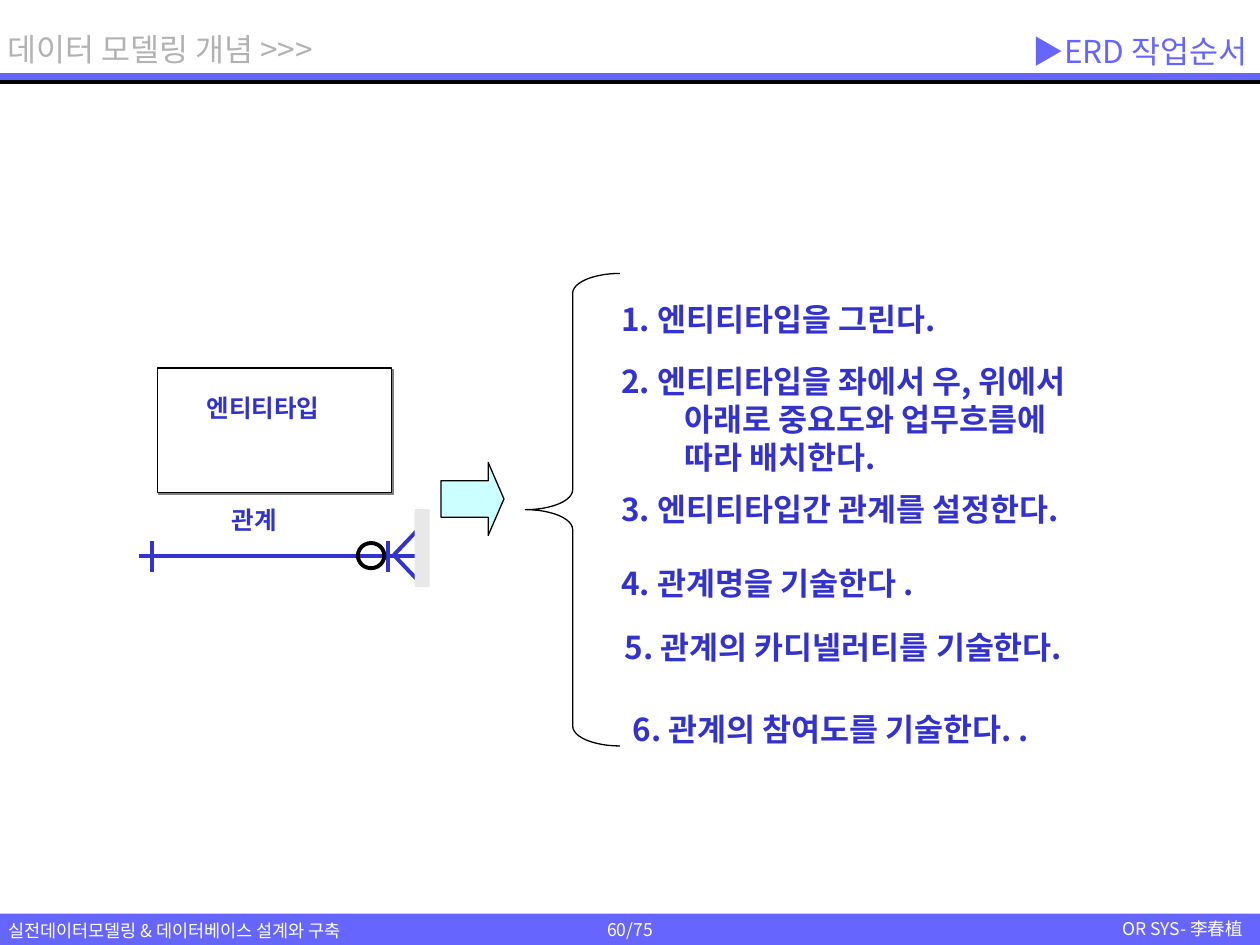
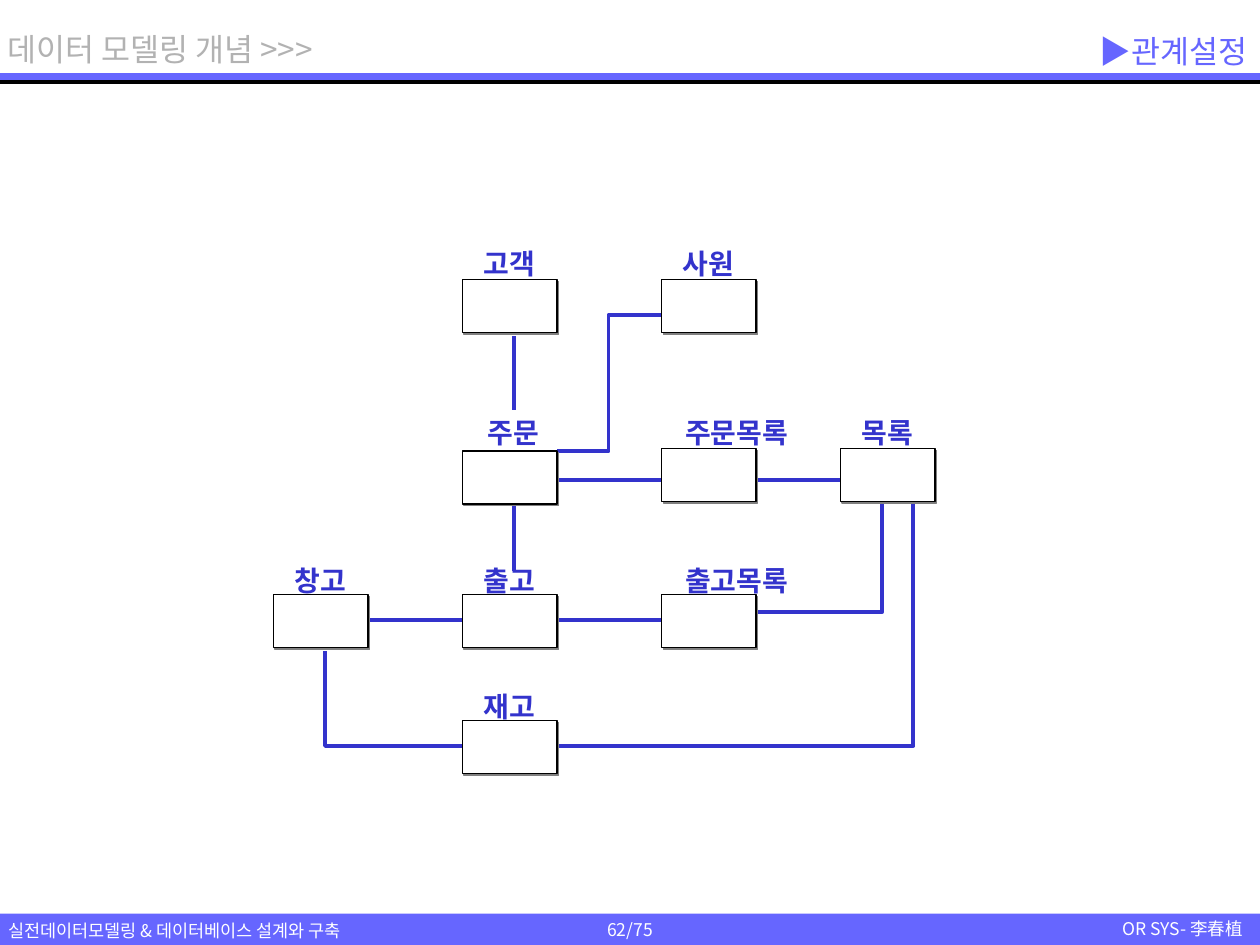
from collections import namedtuple
from dataclasses import dataclass

from lxml import etree
from pptx import Presentation
from pptx import util as u
from pptx.dml.color import RGBColor
from pptx.enum import shapes, text
from pptx.oxml import ns

PX = 9144
FORM = shapes.MSO_SHAPE
ALIGN = text.PP_ALIGN
ANCHOR = text.MSO_ANCHOR


@dataclass(frozen=True)
class Theme:
    font: str = "Noto Sans CJK KR"
    band: str = "6666FF"
    ink: str = "3333CC"
    muted: str = "B2B2B2"
    black: str = "000000"
    white: str = "FFFFFF"
    arrow: str = "CCFFFF"
    grey: str = "E8E8E8"
    shadow: str = "808080"
    title_size: int = 18
    name_size: int = 16
    label_size: int = 14
    footer_size: int = 10
    thin: float = 0.75
    thick: float = 2.25


THEME = Theme()


class Box(namedtuple("Box", "left top width height")):
    def inner(self, left, top, width, height):
        return Box(self.left + left, self.top + top, width, height)

    def point(self, left, top):
        return emu(self.left + left), emu(self.top + top)

    def emus(self):
        return [emu(length) for length in self]


def emu(px):
    return u.Emu(px * PX)


def add_element(parent, tag, **attributes):
    return etree.SubElement(parent, ns.qn(tag), **attributes)


def move(shape, box):
    shape.left, shape.top, shape.width, shape.height = box.emus()


def format_span(para, words, size, color, bold=False):
    span = para.add_run()
    span.text = words
    font = span.font
    font.size, font.bold = u.Pt(size), bold
    font.color.rgb = RGBColor.from_string(color)
    font.name = THEME.font
    add_element(font._element, "a:ea", typeface=THEME.font)


def write(shape, words, size, color, bold=False, align=ALIGN.LEFT, anchor=ANCHOR.TOP):
    frame = shape.text_frame
    frame.auto_size = text.MSO_AUTO_SIZE.NONE
    frame.word_wrap = False
    frame.vertical_anchor = anchor
    para = frame.paragraphs[0]
    para.alignment = align
    format_span(para, words, size, color, bold)


def add_label(page, box, words, size, color, **style):
    write(page.shapes.add_textbox(*box.emus()), words, size, color, **style)


def paint(shape, fill=None, line=None, width=THEME.thin):
    shape.shadow.inherit = False
    if fill:
        shape.fill.solid()
        shape.fill.fore_color.rgb = RGBColor.from_string(fill)
    else:
        shape.fill.background()
    if line:
        shape.line.color.rgb = RGBColor.from_string(line)
        shape.line.width = u.Pt(width)
    else:
        shape.line.fill.background()


def add_form(page, form, box, **style):
    shape = page.shapes.add_shape(form, *box.emus())
    paint(shape, **style)
    return shape


def add_line(page, box, start, end, color=THEME.ink, width=THEME.thick):
    line = page.shapes.add_connector(
        shapes.MSO_CONNECTOR.STRAIGHT, *box.point(*start), *box.point(*end))
    line.line.color.rgb = RGBColor.from_string(color)
    line.line.width = u.Pt(width)
    add_element(line._element.spPr, "a:effectLst")


def add_route(page, box, points):
    if len(points) == 2:
        add_line(page, box, *points)
        return
    start, *rest = [box.point(*point) for point in points]
    builder = page.shapes.build_freeform(*start)
    builder.add_line_segments(rest, close=False)
    paint(builder.convert_to_shape(), line=THEME.ink, width=THEME.thick)


def add_entity(page, box):
    entity = add_form(page, FORM.RECTANGLE, box, fill=THEME.white, line=THEME.black)
    effects = entity._element.spPr.find(ns.qn("a:effectLst"))
    shadow = add_element(effects, "a:outerShdw", blurRad="0", dist=str(u.Pt(1.4)),
                         dir="2700000", algn="tl", rotWithShape="0")
    add_element(shadow, "a:srgbClr", val=THEME.shadow)


def add_header(page, box, title):
    add_form(page, FORM.RECTANGLE, box.inner(0, 58, box.width, 6), fill=THEME.band)
    for top in (64, 65, 66):
        add_line(page, box, (0, top), (box.width, top), THEME.black, THEME.thin)
    add_label(page, box.inner(-4, 19, 280, 40), "데이터 모델링 개념 >>>",
              THEME.title_size, THEME.muted)
    move(page.shapes.title, box.inner(500, 19, 500, 43))
    write(page.shapes.title, title, THEME.title_size, THEME.band,
          align=ALIGN.RIGHT, anchor=ANCHOR.MIDDLE)


def add_footer(page, box, number):
    band = add_form(page, FORM.RECTANGLE, box, fill=THEME.band)
    style = dict(size=THEME.footer_size, color=THEME.white)
    write(band, f"{number}/75", align=ALIGN.CENTER, anchor=ANCHOR.MIDDLE, **style)
    add_label(page, box.inner(-3, 0, 313, 27),
              "실전데이터모델링 & 데이터베이스 설계와 구축", **style)
    add_label(page, box.inner(863, -1, 133, 27), "OR SYS- 李春植",
              align=ALIGN.RIGHT, **style)


def add_page(deck, layout, title, number):
    page = deck.slides.add_slide(deck.slide_layouts.get_by_name(layout))
    add_header(page, Box(0, 0, 1000, 66), title)
    add_footer(page, Box(0, 725, 1000, 25), number)
    return page


def add_notation(page, box):
    style = dict(size=THEME.label_size, color=THEME.ink, bold=True)
    add_entity(page, box.inner(15, 0, 186, 99))
    add_label(page, box.inner(44, 15, 109, 34), "엔티티타입", **style)
    add_label(page, box.inner(64, 104, 56, 34), "관계", **style)
    add_line(page, box, (223, 149), (0, 149))
    for left in (11, 198):
        add_line(page, box, (left, 137), (left, 162))
    add_form(page, FORM.OVAL, box.inner(174, 139, 21, 20),
             line=THEME.black, width=THEME.thick)
    foot = add_form(page, FORM.ISOSCELES_TRIANGLE, box.inner(192, 139, 40, 19),
                    line=THEME.ink, width=THEME.thick)
    foot.rotation = 270
    add_form(page, FORM.RECTANGLE, box.inner(219, 112, 12, 62), fill=THEME.grey)


def add_brace(page, box):
    arrow = add_form(page, FORM.RIGHT_ARROW, box.inner(0, 150, 50, 58),
                     fill=THEME.arrow, line=THEME.black)
    arrow.adjustments[1] = 0.25
    brace = add_form(page, FORM.LEFT_BRACE, box.inner(67, 0, 75, 375), line=THEME.black)
    brace.adjustments[0] = 0.21


def add_steps(page, box, steps):
    body = page.placeholders[1]
    move(body, box)
    frame = body.text_frame
    frame.auto_size = text.MSO_AUTO_SIZE.NONE
    frame.word_wrap = True
    for index, (words, space, shift) in enumerate(steps):
        para = frame.paragraphs[0] if index == 0 else frame.add_paragraph()
        para.alignment = ALIGN.LEFT
        para.line_spacing = 1.0
        para.space_before = u.Pt(space)
        properties = para._p.get_or_add_pPr()
        properties.set("marL", str(emu(50 + shift)))
        properties.set("indent", str(emu(-50)))
        add_element(properties, "a:buNone")
        format_span(para, f"{index + 1}. {words}", THEME.title_size, THEME.ink, bold=True)


def build_order_page(deck):
    page = add_page(deck, "Title and Content", "▶ERD 작업순서", 60)
    add_notation(page, Box(110, 292, 231, 174))
    add_brace(page, Box(350, 217, 142, 375))
    add_steps(page, Box(483, 233, 400, 367), [
        ("엔티티타입을 그린다.", 0, 0),
        ("엔티티타입을 좌에서 우, 위에서 아래로 중요도와 업무흐름에 따라 배치한다.", 14, 0),
        ("엔티티타입간 관계를 설정한다.", 8, 0),
        ("관계명을 기술한다 .", 21, 0),
        ("관계의 카디넬러티를 기술한다.", 15, 3),
        ("관계의 참여도를 기술한다. .", 25, 9),
    ])


def add_model(page, box, entities, routes):
    for route in routes:
        add_route(page, box, route)
    for name, left, top, shift, lift in entities:
        add_entity(page, box.inner(left, top, 75, 42))
        add_label(page, box.inner(left + shift, top - lift, 20 * len(name) + 21, 37),
                  name, THEME.name_size, THEME.ink, bold=True)


def build_relation_page(deck):
    page = add_page(deck, "Title Only", "▶관계설정", 62)
    store, order, item, catalog = 0, 150, 308, 450
    first, second, third, fourth = 31, 165, 281, 381
    entities = [
        ("고객", order, first, 7, 31),
        ("사원", item, first, 7, 31),
        ("주문", order, second + 2, 10, 33),
        ("주문목록", item, second, 9, 31),
        ("목록", catalog, second, 7, 31),
        ("창고", store, third, 7, 30),
        ("출고", order, third, 7, 30),
        ("출고목록", item, third, 9, 30),
        ("재고", order, fourth, 7, 30),
    ]
    routes = [
        [(41, 326), (41, 401), (order, 401)],
        [(75, 301), (order, 301)],
        [(191, 76), (191, 134)],
        [(item, 59), (266, 59), (266, 167), (225, 167)],
        [(225, 190), (item, 190)],
        [(383, 190), (catalog, 190)],
        [(225, 301), (item, 301)],
        [(483, 209), (483, 295), (383, 295)],
        [(191, 209), (191, 262)],
        [(508, 192), (508, 401), (225, 401)],
    ]
    add_model(page, Box(217, 191, 525, 423), entities, routes)


def main():
    deck = Presentation()
    deck.slide_width, deck.slide_height = emu(1000), emu(750)
    build_order_page(deck)
    build_relation_page(deck)
    deck.save("out.pptx")


if __name__ == "__main__":
    main()
